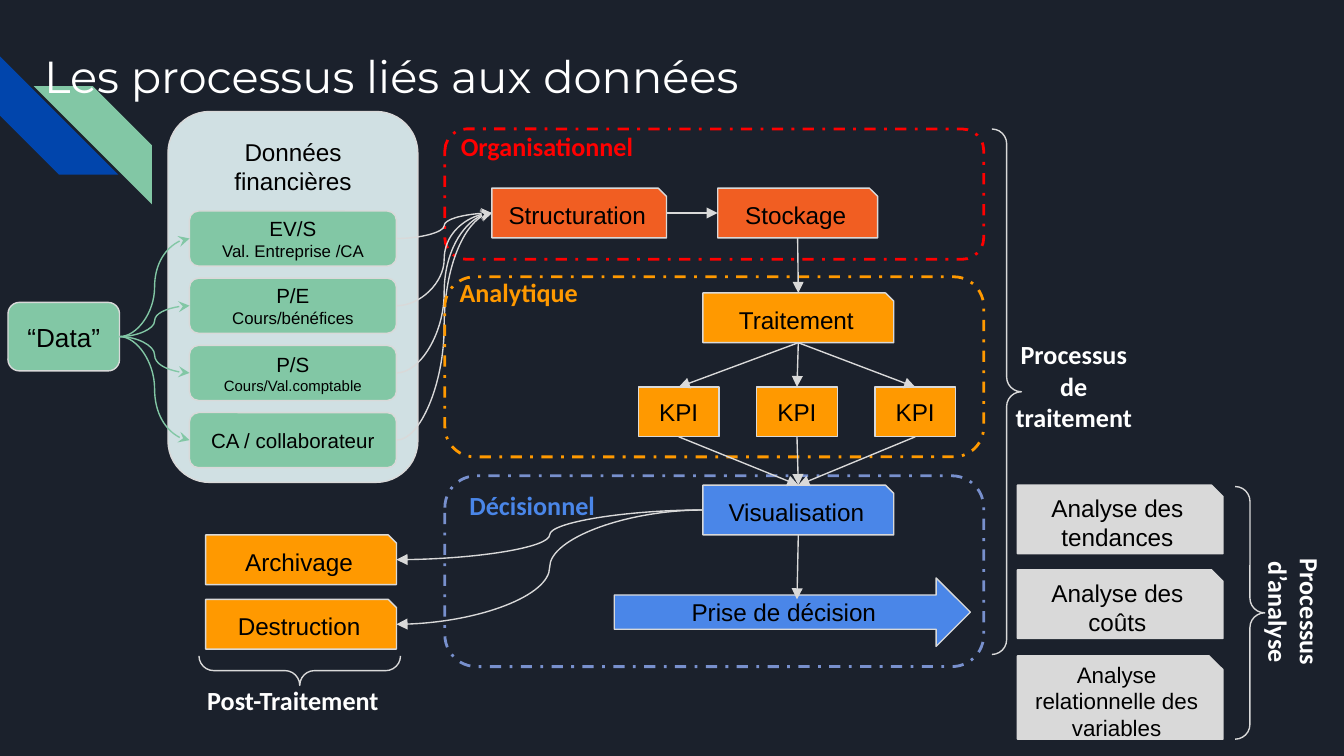
from typing import NamedTuple

from lxml import etree
from pptx import Presentation
from pptx import util as u
from pptx.dml.color import RGBColor
from pptx.enum import dml, shapes, text
from pptx.oxml.ns import qn

SCALE = 9144
KIND = shapes.MSO_SHAPE
COLORS = {
    "background": "1B212C", "blue_stripe": "0145AC", "green": "82C7A5",
    "panel": "D0E0E3", "grey": "D9D9D9", "red": "FF0000", "vermilion": "F15E22",
    "orange": "FF9900", "blue": "4A86E8", "frame_blue": "7890CD",
    "white": "FFFFFF", "black": "000000",
}


class Box(NamedTuple):
    """A rectangle in px, with the middle of each side."""
    left: float
    top: float
    width: float
    height: float

    def inner(self, left, top, width, height):
        """Give a box placed relative to this one."""
        return Box(self.left + left, self.top + top, width, height)

    def side(self, name):
        """Give the middle point of a side."""
        across, down = {"left": (0, 0.5), "right": (1, 0.5),
                        "top": (0.5, 0), "bottom": (0.5, 1)}[name]
        return self.left + self.width * across, self.top + self.height * down


def px(value):
    """Turn px into EMU."""
    return u.Emu(round(value * SCALE))


def rgb(name):
    """Look up a colour by name."""
    return RGBColor.from_string(COLORS[name])


def write(shape, lines, color, font="Arial", bold=False, align="CENTER", anchor="MIDDLE"):
    """Fill a shape with (wording, size) lines."""
    frame = shape.text_frame
    frame.text = "\n".join(wording for wording, _ in lines)
    frame.word_wrap = True
    frame.vertical_anchor = text.MSO_ANCHOR[anchor]
    frame.margin_left = frame.margin_right = frame.margin_top = frame.margin_bottom = px(10)
    for paragraph, (_, size) in zip(frame.paragraphs, lines):
        paragraph.alignment = text.PP_ALIGN[align]
        for run in paragraph.runs:
            run.font.name = font
            run.font.size = u.Pt(size)
            run.font.bold = bold
            run.font.color.rgb = rgb(color)


def add_shape(slide, kind, box, fill=None, line="grey", weight=0.75):
    """Add a preset shape with a plain fill and line."""
    shape = slide.shapes.add_shape(kind, *map(px, box))
    shape.shadow.inherit = False
    if fill:
        shape.fill.solid()
        shape.fill.fore_color.rgb = rgb(fill)
    else:
        shape.fill.background()
    if line:
        shape.line.color.rgb = rgb(line)
        shape.line.width = u.Pt(weight)
    else:
        shape.line.fill.background()
    return shape


def add_node(slide, box, lines, fill, kind=KIND.SNIP_1_RECTANGLE, anchor="MIDDLE"):
    """Add a labelled step and return its box."""
    write(add_shape(slide, kind, box, fill), lines, "black", anchor=anchor)
    return box


def add_label(slide, box, lines, color="white", rotation=0):
    """Add a bold caption."""
    label = slide.shapes.add_textbox(*map(px, box))
    write(label, [(line, 14) for line in lines], color, "Calibri", True, anchor="TOP")
    label.text_frame.auto_size = text.MSO_AUTO_SIZE.SHAPE_TO_FIT_TEXT
    label.rotation = rotation


def add_brace(slide, box, rotation=0):
    """Add a right brace."""
    brace = add_shape(slide, KIND.RIGHT_BRACE, box)
    brace.adjustments[0] = 0.5
    brace.rotation = rotation


def add_arrow(slide, start, end, curved=False, color="grey", head="triangle"):
    """Add an arrow between two points."""
    kind = shapes.MSO_CONNECTOR.CURVE if curved else shapes.MSO_CONNECTOR.STRAIGHT
    arrow = slide.shapes.add_connector(kind, *map(px, start + end))
    arrow.line.color.rgb = rgb(color)
    arrow.line.width = u.Pt(0.75)
    etree.SubElement(arrow.line._get_or_add_ln(), qn("a:tailEnd"), type=head)
    etree.SubElement(arrow._element.spPr, qn("a:effectLst"))


def add_frame(slide, box, color):
    """Add the dashed outline of a process."""
    frame = add_shape(slide, KIND.ROUNDED_RECTANGLE, box, None, color, 1.5)
    frame.line.dash_style = dml.MSO_LINE.DASH_DOT


def draw_header(slide, box):
    """Draw the corner stripes and the title."""
    stripe = add_shape(slide, KIND.DIAGONAL_STRIPE, box.inner(0, 16, 88, 88), "blue_stripe", None)
    stripe.rotation = 270
    stripe = add_shape(slide, KIND.DIAGONAL_STRIPE, box.inner(25, 38, 88, 88), "green", None)
    stripe._element.spPr.xfrm.set("flipH", "1")
    title = slide.shapes.add_textbox(*map(px, box.inner(23, 0, 821, 104)))
    write(title, [("Les processus liés aux données", 24)], "white", "Montserrat",
          align="LEFT", anchor="TOP")


def draw_sources(slide, box):
    """Draw the financial data panel and return its source boxes."""
    rounded = KIND.ROUNDED_RECTANGLE
    add_node(slide, box, [("Données financières", 13)], "panel", rounded, "TOP")
    data = add_node(slide, box.inner(-119, 142, 83, 51), [("“Data”", 14)], "green", rounded)
    ratios = [
        [("EV/S", 11), ("Val. Entreprise /CA", 9)],
        [("P/E", 11), ("Cours/bénéfices", 9)],
        [("P/S", 11), ("Cours/Val.comptable", 8)],
        [("CA / collaborateur", 11)],
    ]
    sources = [add_node(slide, box.inner(16, 74 + 50 * row, 154, 41), lines, "green", rounded)
               for row, lines in enumerate(ratios)]
    for source in sources:
        add_arrow(slide, data.side("right"), source.side("left"), True, "green", "stealth")
    return sources


def draw_organisation(slide, box, sources):
    """Draw the organisational process and return its last step."""
    add_frame(slide, box, "red")
    add_label(slide, box.inner(-10, -9, 172, 44), ["Organisationnel"], "red")
    structure = add_node(slide, box.inner(35, 44, 130, 37), [("Structuration", 13)], "vermilion")
    storage = add_node(slide, box.inner(203, 44, 119, 37), [("Stockage", 13)], "vermilion")
    for source in sources:
        add_arrow(slide, source.side("right"), structure.side("left"), True, head="stealth")
    add_arrow(slide, structure.side("right"), storage.side("left"))
    return storage


def draw_analytics(slide, box, storage):
    """Draw the analytical process and return its indicators."""
    add_frame(slide, box, "orange")
    add_label(slide, box.inner(-31, -10, 172, 44), ["Analytique"], "orange")
    treatment = add_node(slide, box.inner(192, 12, 142, 37), [("Traitement", 13)], "orange")
    add_arrow(slide, storage.side("bottom"), treatment.side("top"))
    indicators = [add_node(slide, box.inner(144 + 88 * column, 82, 60, 37), [("KPI", 13)],
                           "orange", KIND.RECTANGLE) for column in range(3)]
    for indicator in indicators:
        add_arrow(slide, treatment.side("bottom"), indicator.side("top"))
    return indicators


def draw_decision(slide, box, indicators):
    """Draw the decision process and return its first step."""
    add_frame(slide, box, "frame_blue")
    add_label(slide, box.inner(-6, 0, 142, 44), ["Décisionnel"], "blue")
    view = add_node(slide, box.inner(192, 7, 142, 37), [("Visualisation", 13)], "blue")
    for indicator in indicators:
        add_arrow(slide, indicator.side("bottom"), view.side("top"))
    add_node(slide, box.inner(126, 76, 265, 51), [("Prise de décision", 13)], "blue",
             KIND.RIGHT_ARROW)
    add_arrow(slide, view.side("bottom"), (box.left + 262, box.top + 92))
    return view


def draw_post_treatment(slide, box, view):
    """Draw the steps that follow the treatment."""
    for row, wording in enumerate(["Archivage", "Destruction"]):
        step = add_node(slide, box.inner(30, 48 * row, 142, 37), [(wording, 13)], "orange")
        add_arrow(slide, view.side("left"), step.side("right"), True)
    add_brace(slide, box.inner(89, 26, 22, 150), 90)
    add_label(slide, box.inner(0, 101, 190, 44), ["Post-Traitement"])


def draw_analysis(slide, box):
    """Draw the analyses beside their brace."""
    analyses = [("Analyse des tendances", 13, 0, 51), ("Analyse des coûts", 13, 63, 51),
                ("Analyse relationnelle des variables", 12, 127, 62)]
    for wording, size, top, height in analyses:
        add_node(slide, box.inner(0, top, 153, height), [(wording, size)], "grey")
    add_brace(slide, box.inner(162, 1, 22, 188))
    add_label(slide, box.inner(151, 61, 110, 67), ["Processus d’analyse"], rotation=90)


def draw_treatment_brace(slide, box):
    """Draw the brace that gathers the three processes."""
    add_brace(slide, box)
    add_label(slide, box.inner(6, 146, 110, 91), ["Processus", "de traitement"])


def main():
    """Build the slide and save it."""
    presentation = Presentation()
    presentation.slide_width, presentation.slide_height = px(1000), px(562.5)
    slide = presentation.slides.add_slide(presentation.slide_layouts[6])
    slide.background.fill.solid()
    slide.background.fill.fore_color.rgb = rgb("background")
    draw_header(slide, Box(0, 26, 844, 126))
    sources = draw_sources(slide, Box(125, 83, 186, 276))
    storage = draw_organisation(slide, Box(331, 96, 401, 97), sources)
    indicators = draw_analytics(slide, Box(331, 206, 401, 134), storage)
    view = draw_decision(slide, Box(331, 354, 401, 142), indicators)
    draw_post_treatment(slide, Box(123, 398, 190, 145), view)
    draw_treatment_brace(slide, Box(738, 96, 22, 391))
    draw_analysis(slide, Box(757, 361, 184, 189))
    presentation.save("out.pptx")


if __name__ == "__main__":
    main()
